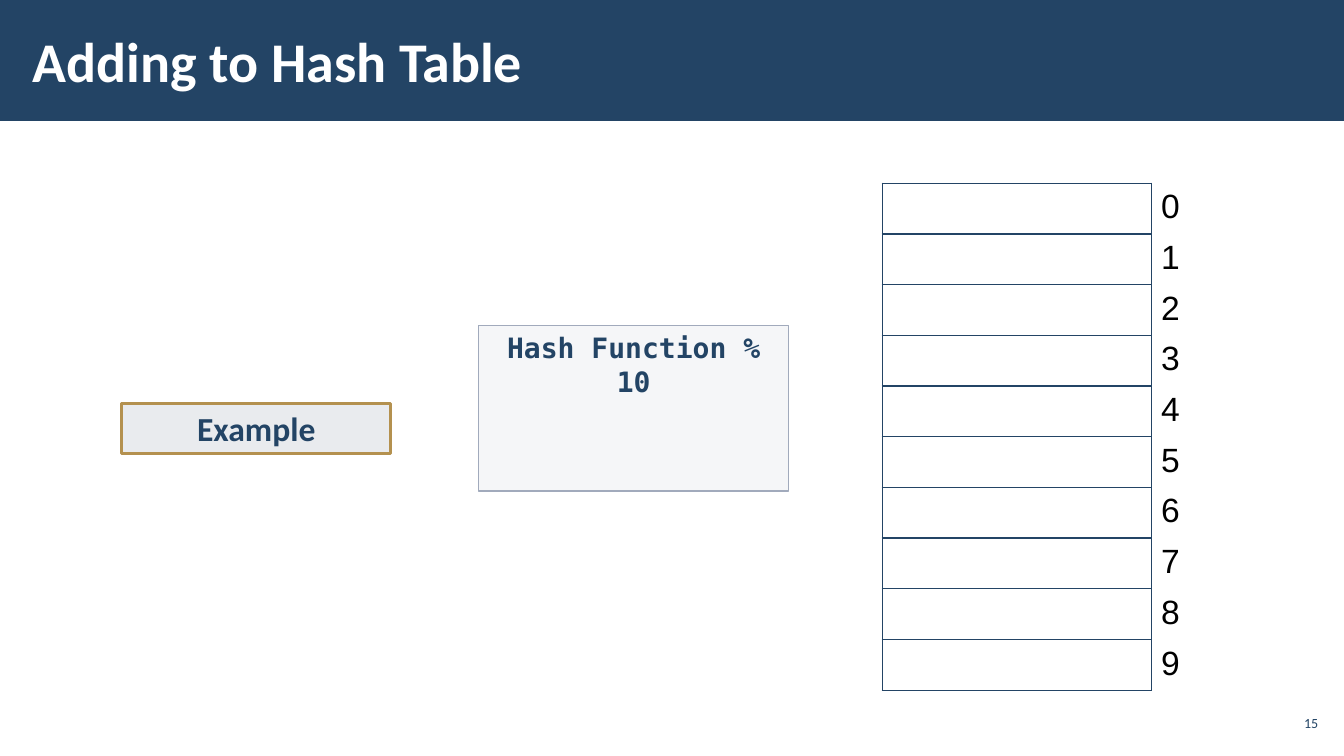
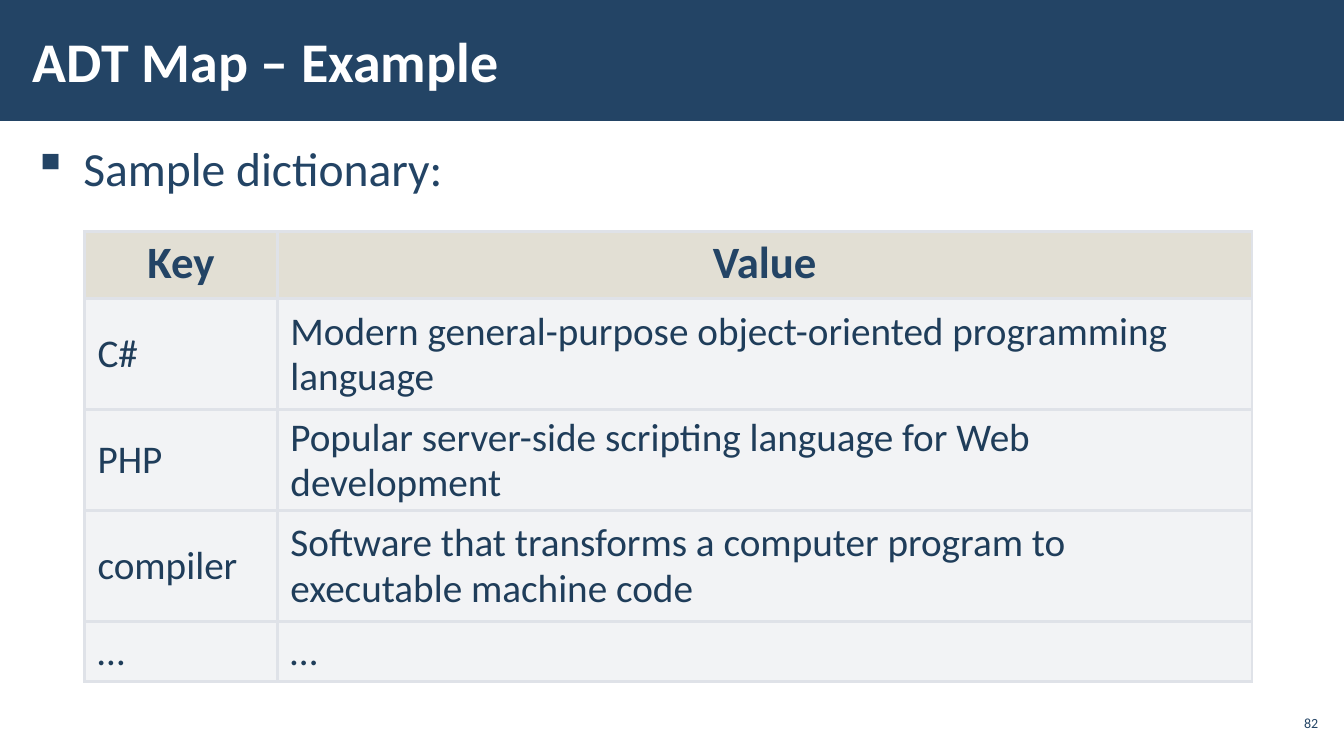
import pptx
import pptx.dml.color
import pptx.enum.shapes
import pptx.enum.text
import pptx.oxml
import pptx.oxml.ns
import pptx.util

Cm = pptx.util.Cm
RGBColor = pptx.dml.color.RGBColor
ALIGN = pptx.enum.text.PP_ALIGN
ANCHOR = pptx.enum.text.MSO_ANCHOR
SHAPE = pptx.enum.shapes.MSO_SHAPE

# Colours
NAVY = RGBColor(0x23, 0x44, 0x65)
DARK_NAVY = RGBColor(0x1F, 0x3D, 0x5A)
WHITE = RGBColor(0xFF, 0xFF, 0xFF)
BLACK = RGBColor(0, 0, 0)
GOLD = RGBColor(0xB4, 0x91, 0x4F)
PALE_GREY = RGBColor(0xE9, 0xEB, 0xEE)
BLUE_GREY = RGBColor(0xC1, 0xC6, 0xD1)
EDGE_GREY = RGBColor(0xA1, 0xAA, 0xBC)
SAND = RGBColor(0xC6, 0xC0, 0xAA)
GRID_GREY = RGBColor(0xDF, 0xE2, 0xE8)

# Fonts and page
BODY_FONT = "Calibri"
CODE_FONT = "DejaVu Sans Mono"
INDEX_FONT = "Arial"
WIDTH, HEIGHT = Cm(33.87), Cm(19.05)
WIDE_INSETS = (0.3, 0.1)
NORMAL_INSETS = (0.25, 0.13)


class Deck:
    """Holds the shared style and the slide being built."""

    def __init__(self):
        self.presentation = pptx.Presentation()
        self.presentation.slide_width = WIDTH
        self.presentation.slide_height = HEIGHT
        self.slide = None

    def new_slide(self, title, number):
        self.slide = self.presentation.slides.add_slide(
            self.presentation.slide_layouts[6])
        self.box((0, 0, 33.87, 3.05), NAVY)
        self.text((0.53, 0.28, 26.42, 2.46), title, 40, color=WHITE, bold=True,
                  anchor=ANCHOR.MIDDLE, insets=WIDE_INSETS)
        self.text((32.13, 17.78, 1.19, 0.86), str(number), 10,
                  align=ALIGN.RIGHT, anchor=ANCHOR.MIDDLE, insets=(0.1, 0.1))

    def fill_text(self, frame, text, size, font=BODY_FONT, color=NAVY,
                  bold=False, align=ALIGN.LEFT, spacing=None):
        paragraph = frame.paragraphs[0]
        paragraph.alignment = align
        if spacing:
            paragraph.line_spacing = spacing
        run = paragraph.add_run()
        run.text = text
        run.font.size = pptx.util.Pt(size)
        run.font.name = font
        run.font.bold = bold
        run.font.color.rgb = color
        return paragraph

    def set_frame(self, frame, anchor, insets):
        frame.word_wrap = True
        frame.vertical_anchor = anchor
        frame.margin_left = frame.margin_right = Cm(insets[0])
        frame.margin_top = frame.margin_bottom = Cm(insets[1])

    def text(self, area, text, size, anchor=ANCHOR.TOP, insets=NORMAL_INSETS,
             shapes=None, **style):
        shapes = self.slide.shapes if shapes is None else shapes
        shape = shapes.add_textbox(*map(Cm, area))
        self.set_frame(shape.text_frame, anchor, insets)
        return self.fill_text(shape.text_frame, text, size, **style)

    def bullet(self, area, text, size):
        paragraph = self.text(area, text, size, insets=WIDE_INSETS, spacing=1.05)
        properties = paragraph._p.get_or_add_pPr()
        properties.set("marL", str(Cm(1.27)))
        properties.set("indent", str(-Cm(1.27)))
        self.add_xml(properties, f'<a:buClr %s><a:srgbClr val="{NAVY}"/></a:buClr>')
        self.add_xml(properties, '<a:buChar %s char="▪"/>')

    def add_xml(self, parent, xml, index=None):
        element = pptx.oxml.parse_xml(xml % pptx.oxml.ns.nsdecls("a"))
        parent.insert(len(parent) if index is None else index, element)

    def paint(self, fill, properties, color, opacity):
        fill.solid()
        fill.fore_color.rgb = color
        if opacity < 100:
            color_element = properties.find(
                pptx.oxml.ns.qn("a:solidFill")).find(pptx.oxml.ns.qn("a:srgbClr"))
            self.add_xml(color_element, f'<a:alpha %s val="{opacity * 1000}"/>')

    def box(self, area, color, opacity=100, edge=None, edge_width=1,
            kind=SHAPE.RECTANGLE, shapes=None):
        shapes = self.slide.shapes if shapes is None else shapes
        shape = shapes.add_shape(kind, *map(Cm, area))
        shape.shadow.inherit = False
        self.paint(shape.fill, shape._element.spPr, color, opacity)
        if edge is None:
            shape.line.fill.background()
        else:
            shape.line.color.rgb = edge
            shape.line.width = pptx.util.Pt(edge_width)
        return shape

    def table(self, left, top, columns, rows):
        table = self.slide.shapes.add_table(
            len(rows), len(columns), Cm(left), Cm(top),
            Cm(sum(columns)), Cm(sum(rows))).table
        table.first_row = table.horz_banding = False
        for column, width in zip(table.columns, columns):
            column.width = Cm(width)
        for row, height in zip(table.rows, rows):
            row.height = Cm(height)
        return table

    def cell(self, cell, color=None, opacity=100, sides="LRTB", edge=NAVY,
             edge_width=1, anchor=ANCHOR.TOP, insets=NORMAL_INSETS):
        cell.vertical_anchor = anchor
        cell.margin_left = cell.margin_right = Cm(insets[0])
        cell.margin_top = cell.margin_bottom = Cm(insets[1])
        properties = cell._tc.get_or_add_tcPr()
        if color is None:
            cell.fill.background()
        else:
            self.paint(cell.fill, properties, color, opacity)
        # Borders come before the fill, in the order left, right, top, bottom
        width = pptx.util.Pt(edge_width)
        for index, side in enumerate("LRTB"):
            paint = (f'<a:solidFill><a:srgbClr val="{edge}"/></a:solidFill>'
                     if side in sides else "<a:noFill/>")
            self.add_xml(properties,
                         f'<a:ln{side} %s w="{width}">{paint}</a:ln{side}>', index)


def hash_table_slide(deck):
    deck.new_slide("Adding to Hash Table", 15)

    # Key to be added
    key = deck.box((3.07, 10.16, 6.78, 1.27), PALE_GREY, edge=GOLD, edge_width=2,
                   kind=SHAPE.FLOWCHART_PROCESS)
    deck.set_frame(key.text_frame, ANCHOR.MIDDLE, NORMAL_INSETS)
    deck.fill_text(key.text_frame, "Example", 24, bold=True, align=ALIGN.CENTER)

    # Hash function with its label
    shapes = deck.slide.shapes.add_group_shape().shapes
    deck.box((12.06, 8.2, 7.82, 4.17), BLUE_GREY, 15, EDGE_GREY, shapes=shapes)
    deck.text((12.06, 8.2, 7.82, 1.12), "Hash Function % 10", 20, shapes=shapes,
              font=CODE_FONT, bold=True, align=ALIGN.CENTER)

    # Numbered slots
    table = deck.table(22.23, 4.62, [6.78, 1.42], [1.27] * 10)
    for index in range(10):
        deck.cell(table.cell(index, 0))
        label = table.cell(index, 1)
        deck.cell(label, sides="L")
        deck.fill_text(label.text_frame, str(index), 24, INDEX_FONT, BLACK)


def map_slide(deck):
    deck.new_slide("ADT Map – Example", 82)
    deck.bullet((0.53, 3.33, 32.82, 14.45), "Sample dictionary:", 34)

    # Dictionary
    entries = [
        ("Key", "Value"),
        ("C#", "Modern general-purpose object-oriented programming language"),
        ("PHP", "Popular server-side scripting language for Web development"),
        ("compiler", "Software that transforms a computer program to "
                     "executable machine code"),
        ("…", "…"),
    ]
    table = deck.table(2.13, 5.83, [4.86, 24.56], [1.7, 2.79, 2.55, 2.79, 1.52])
    header = dict(color=SAND, opacity=50, insets=(0.43, 0.13))
    body = dict(color=BLUE_GREY, opacity=20, insets=(0.33, 0.13),
                anchor=ANCHOR.MIDDLE)
    header_text = dict(size=32, bold=True, align=ALIGN.CENTER)
    body_text = dict(size=28, color=DARK_NAVY)
    for row, entry in enumerate(entries):
        look, style = (body, body_text) if row else (header, header_text)
        for column, text in enumerate(entry):
            cell = table.cell(row, column)
            deck.cell(cell, edge=GRID_GREY, edge_width=2.25, **look)
            deck.fill_text(cell.text_frame, text, spacing=0.95, **style)


def main():
    deck = Deck()
    hash_table_slide(deck)
    map_slide(deck)
    deck.presentation.save("out.pptx")


if __name__ == "__main__":
    main()
